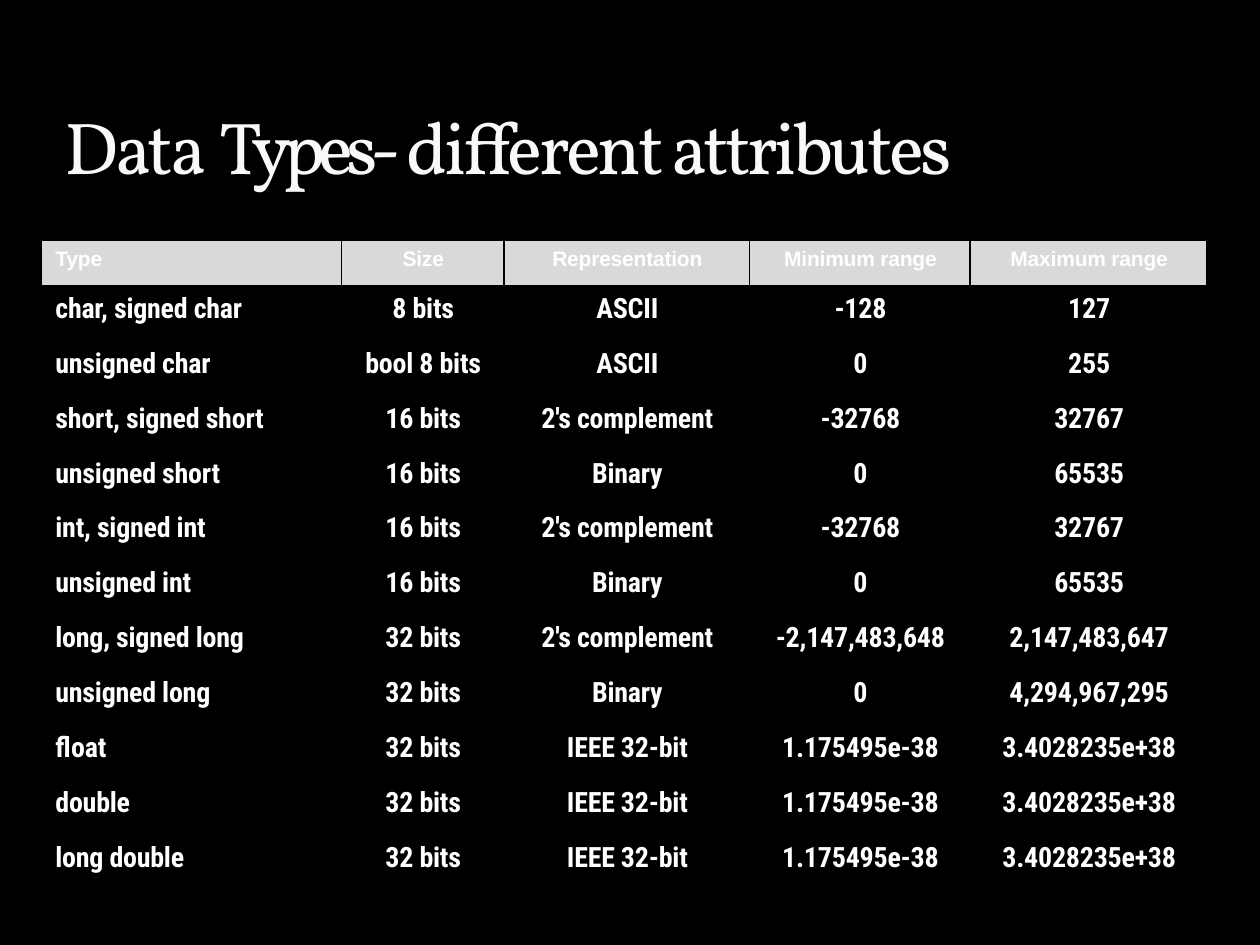
from dataclasses import dataclass

from lxml import etree
from pptx import Presentation
from pptx.dml.color import RGBColor
from pptx.enum.text import MSO_ANCHOR, MSO_AUTO_SIZE, PP_ALIGN
from pptx.oxml.ns import qn
from pptx.util import Inches, Pt

LEFT, CENTER = PP_ALIGN.LEFT, PP_ALIGN.CENTER
TITLE_ONLY = 5


@dataclass(frozen=True)
class Theme:
    background: str = "000000"
    title: str = "F9F9F9"
    title_outline: str = "1B406E"
    text: str = "FFFFFF"
    header_fill: str = "D9D9D9"
    border: str = "000000"
    title_font: str = "Vollkorn"
    header_font: str = "Arial"
    body_font: str = "Roboto Condensed"
    title_size: int = 42
    header_size: int = 12
    body_size: int = 16


THEME = Theme()

# Title runs with their letter spacing in points
TITLE_RUNS = [("Data ", -1.6), ("Types- ", -4.2), ("different attributes", -2)]

# Table grid in inches
TABLE_LEFT, TABLE_TOP, TABLE_HEIGHT = 0.33, 1.91, 5.16
COLUMN_WIDTHS = [2.38, 1.29, 1.95, 1.75, 1.88]
HEADER_HEIGHT = 0.36

HEADER = ["Type", "Size", "Representation", "Minimum range", "Maximum range"]
FLOAT_RANGE = ["32 bits", "IEEE 32-bit", "1.175495e-38", "3.4028235e+38"]
SIGNED_16 = ["16 bits", "2's complement", "-32768", "32767"]
UNSIGNED_16 = ["16 bits", "Binary", "0", "65535"]
DATA_TYPES = [
    ["char, signed char", "8 bits", "ASCII", "-128", "127"],
    ["unsigned char", "bool 8 bits", "ASCII", "0", "255"],
    ["short, signed short", *SIGNED_16],
    ["unsigned short", *UNSIGNED_16],
    ["int, signed int", *SIGNED_16],
    ["unsigned int", *UNSIGNED_16],
    ["long, signed long", "32 bits", "2's complement",
     "-2,147,483,648", "2,147,483,647"],
    ["unsigned long", "32 bits", "Binary", "0", "4,294,967,295"],
    ["float", *FLOAT_RANGE],
    ["double", *FLOAT_RANGE],
    ["long double", *FLOAT_RANGE],
]


def set_attrs(target, values):
    for name, value in values.items():
        setattr(target, name, value)


def add_line(parent, tag, width, color, alpha=None):
    """Append a solid line element to parent and return it."""
    line = etree.SubElement(parent, qn(tag), w=str(Pt(width)))
    fill = etree.SubElement(line, qn("a:solidFill"))
    clr = etree.SubElement(fill, qn("a:srgbClr"), val=color)
    if alpha is not None:
        etree.SubElement(clr, qn("a:alpha"), val=str(alpha * 1000))
    return line


def add_run(p, text, font, size, color, spacing, bold=False):
    r = p.add_run()
    r.text = text
    set_attrs(r.font, {"name": font, "size": Pt(size), "bold": bold})
    r.font.color.rgb = RGBColor.from_string(color)
    r.font._element.set("spc", str(round(spacing * 100)))
    return r


def format_paragraph(p, align, indent, before):
    set_attrs(p, {"alignment": align, "space_before": Pt(before)})
    p_pr = p._p.get_or_add_pPr()
    p_pr.set("marL", str(Inches(indent)))
    p_pr.set("indent", "0")


def add_title(s):
    title = s.shapes.title
    set_attrs(title, {"left": Inches(0.5), "top": Inches(0.17),
                      "width": Inches(9), "height": Inches(1.33)})
    tf = title.text_frame
    set_attrs(tf, {"margin_left": 0, "margin_top": Inches(0.01),
                   "margin_right": 0, "margin_bottom": 0,
                   "word_wrap": True, "vertical_anchor": MSO_ANCHOR.BOTTOM,
                   "auto_size": MSO_AUTO_SIZE.SHAPE_TO_FIT_TEXT})
    p = tf.paragraphs[0]
    format_paragraph(p, LEFT, 0.01, 1.1)
    for text, spacing in TITLE_RUNS:
        r = add_run(p, text, THEME.title_font, THEME.title_size,
                    THEME.title, spacing)
        r_pr = r.font._element
        # The outline comes before the fill in run properties
        r_pr.insert(0, add_line(r_pr, "a:ln", 0.25, THEME.title_outline, 25))


def fill_cell(cell, text, column, is_header):
    set_attrs(cell, {"margin_left": 0, "margin_top": Inches(0.05),
                     "margin_right": 0, "margin_bottom": 0})
    p = cell.text_frame.paragraphs[0]
    first = column == 0
    format_paragraph(p, LEFT if first else CENTER, 0.11 if first else 0.01,
                     3.2 if is_header else 3.4)
    font, size = ((THEME.header_font, THEME.header_size) if is_header
                  else (THEME.body_font, THEME.body_size))
    add_run(p, text, font, size, THEME.text, -0.1, bold=True)
    # Borders come before the fill in cell properties
    tc_pr = cell._tc.get_or_add_tcPr()
    for tag in ("a:lnL", "a:lnR", "a:lnT", "a:lnB"):
        add_line(tc_pr, tag, 1, THEME.border)
    if is_header:
        cell.fill.solid()
        cell.fill.fore_color.rgb = RGBColor.from_string(THEME.header_fill)
    else:
        cell.fill.background()


def add_type_table(s):
    rows = [HEADER, *DATA_TYPES]
    table = s.shapes.add_table(
        len(rows), len(HEADER), Inches(TABLE_LEFT), Inches(TABLE_TOP),
        Inches(sum(COLUMN_WIDTHS)), Inches(TABLE_HEIGHT)).table
    set_attrs(table, {"first_row": False, "horz_banding": False})
    for column, width in zip(table.columns, COLUMN_WIDTHS):
        column.width = Inches(width)
    body_height = (TABLE_HEIGHT - HEADER_HEIGHT) / len(DATA_TYPES)
    for i, values in enumerate(rows):
        table.rows[i].height = Inches(body_height if i else HEADER_HEIGHT)
        for j, text in enumerate(values):
            fill_cell(table.cell(i, j), text, j, i == 0)


def main():
    prs = Presentation()
    set_attrs(prs, {"slide_width": Inches(10), "slide_height": Inches(7.5)})
    s = prs.slides.add_slide(prs.slide_layouts[TITLE_ONLY])
    s.background.fill.solid()
    s.background.fill.fore_color.rgb = RGBColor.from_string(THEME.background)
    add_title(s)
    add_type_table(s)
    prs.save("out.pptx")


if __name__ == "__main__":
    main()
